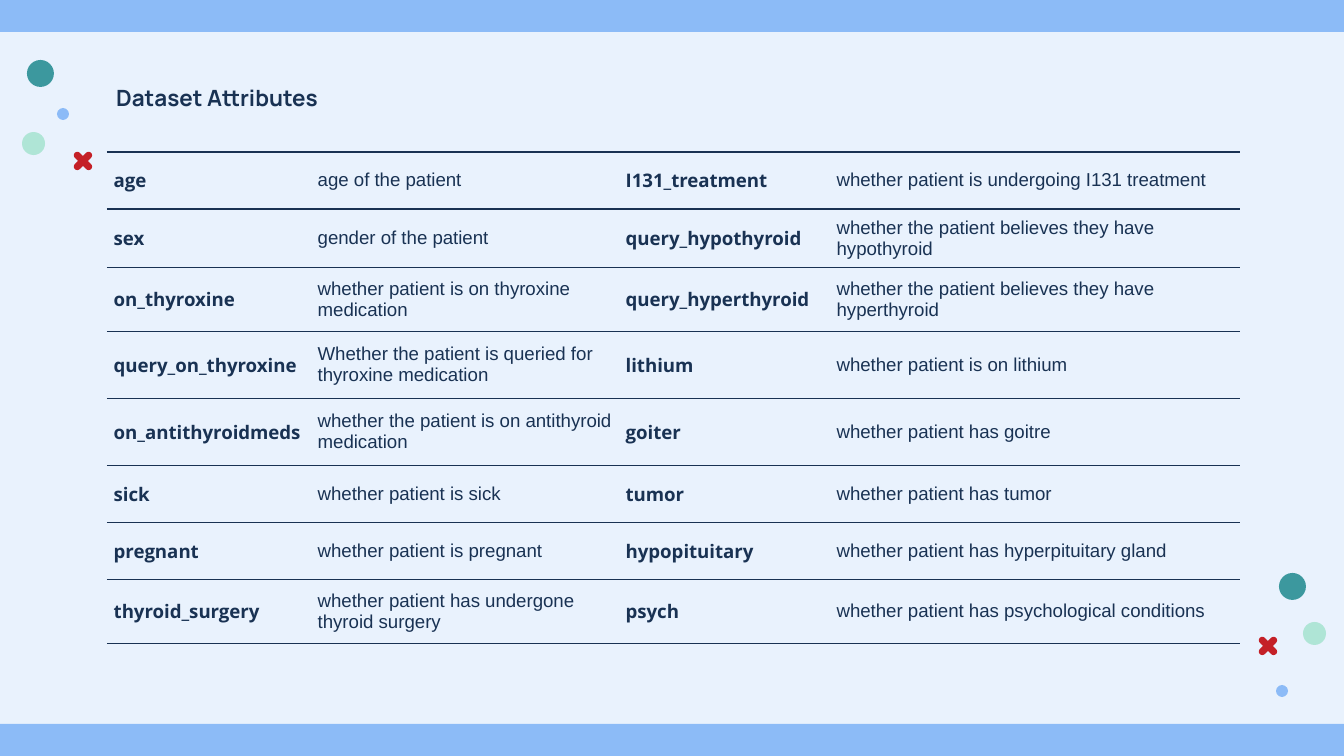
from math import cos, pi, sin, sqrt

from lxml.etree import SubElement
from pptx import Presentation
from pptx.dml.color import RGBColor
from pptx.enum.shapes import MSO_SHAPE
from pptx.enum.text import MSO_ANCHOR
from pptx.oxml.ns import qn
from pptx.util import Emu, Pt

SCALE = 914400 / 134.4  # EMU in one px
WIDTH, HEIGHT, BAR = 1344, 756, 32

PAPER, NAVY, BLUE = "E9F2FD", "193253", "8CBBF7"
TEAL, MINT, RED = "3C989E", "AFE5D6", "C42027"

NAME_FONT = {"name": "Open Sans", "size": Pt(10), "bold": True}
MEANING_FONT = {"name": "Arial", "size": Pt(10), "bold": False}
TITLE_FONT = {"name": "Manrope", "size": Pt(12), "bold": True}

COLUMNS = [204, 308, 211, 410]
ROWS = [57, 58, 64, 67, 67, 57, 57, 64]
ATTRIBUTES = [
    ("age", "age of the patient",
     "I131_treatment", "whether patient is undergoing I131 treatment"),
    ("sex", "gender of the patient",
     "query_hypothyroid", "whether the patient believes they have hypothyroid"),
    ("on_thyroxine", "whether patient is on thyroxine medication",
     "query_hyperthyroid", "whether the patient believes they have hyperthyroid"),
    ("query_on_thyroxine", "Whether the patient is queried for thyroxine medication",
     "lithium", "whether patient is on lithium"),
    ("on_antithyroidmeds", "whether the patient is on antithyroid medication",
     "goiter", "whether patient has goitre"),
    ("sick", "whether patient is sick",
     "tumor", "whether patient has tumor"),
    ("pregnant", "whether patient is pregnant",
     "hypopituitary", "whether patient has hyperpituitary gland"),
    ("thyroid_surgery", "whether patient has undergone thyroid surgery",
     "psych", "whether patient has psychological conditions"),
]

# Left, top, diameter and colour of each dot
DOTS = [
    (1303, 622, 23, MINT), (1276, 685, 12, BLUE), (1279, 573, 27, TEAL),
    (22, 132, 23, MINT), (57, 108, 12, BLUE), (27, 60, 27, TEAL),
]
CROSS_CENTRES = [(1268, 646), (83, 161)]


def px(n):
    return Emu(round(n * SCALE))


def rgb(value):
    return RGBColor.from_string(value)


def paint(sp, color):
    sp.shadow.inherit = False
    sp.fill.solid()
    sp.fill.fore_color.rgb = rgb(color)
    sp.line.fill.background()


def add_block(s, kind, x, y, w, h, color):
    sp = s.shapes.add_shape(kind, px(x), px(y), px(w), px(h))
    paint(sp, color)


def add_cross(s, cx, cy, reach=8, half=3.5):
    """Diagonal cross with round arm ends and straight inner corners."""
    points = []
    for arm in range(4):
        a = pi / 4 + arm * pi / 2
        for step in range(9):
            t = a - pi / 2 + step * pi / 8
            points.append((reach * cos(a) + half * cos(t),
                           reach * sin(a) + half * sin(t)))
        inner = a + pi / 4
        points.append((half * sqrt(2) * cos(inner), half * sqrt(2) * sin(inner)))
    points = [(px(cx + x), px(cy + y)) for x, y in points]
    builder = s.shapes.build_freeform(*points[0])
    builder.add_line_segments(points[1:], close=True)
    paint(builder.convert_to_shape(), RED)


def write(tf, text, font):
    tf.word_wrap = True
    r = tf.paragraphs[0].add_run()
    r.text = text
    for key, value in font.items():
        setattr(r.font, key, value)
    r.font.color.rgb = rgb(NAVY)


def add_title(s, text):
    sp = s.shapes.add_textbox(px(103), px(71), px(1133), px(85))
    tf = sp.text_frame
    for side in ("left", "top", "right", "bottom"):
        setattr(tf, f"margin_{side}", Pt(7.2))
    write(tf, text, TITLE_FONT)


def set_borders(cell):
    """Rule above and below the cell, nothing at its sides."""
    tc_pr = cell._tc.get_or_add_tcPr()
    for side in "LRTB":
        ln = SubElement(tc_pr, qn(f"a:ln{side}"), w=str(Pt(0.75)))
        if side in "LR":
            SubElement(ln, qn("a:noFill"))
        else:
            fill = SubElement(ln, qn("a:solidFill"))
            SubElement(fill, qn("a:srgbClr"), val=NAVY)


def add_attribute_table(s):
    frame = s.shapes.add_table(len(ROWS), len(COLUMNS), px(107), px(152),
                               px(sum(COLUMNS)), px(sum(ROWS)))
    table = frame.table
    table.first_row = table.horz_banding = False
    for column, width in zip(table.columns, COLUMNS):
        column.width = px(width)
    for row, height, texts in zip(table.rows, ROWS, ATTRIBUTES):
        row.height = px(height)
        for i, (cell, text) in enumerate(zip(row.cells, texts)):
            for side in ("left", "top", "right", "bottom"):
                setattr(cell, f"margin_{side}", Pt(3.6))
            cell.vertical_anchor = MSO_ANCHOR.MIDDLE
            write(cell.text_frame, text, MEANING_FONT if i % 2 else NAME_FONT)
            set_borders(cell)  # borders come before the fill in the XML
            cell.fill.background()


def main():
    prs = Presentation()
    prs.slide_width, prs.slide_height = px(WIDTH), px(HEIGHT)
    s = prs.slides.add_slide(prs.slide_layouts[6])
    s.background.fill.solid()
    s.background.fill.fore_color.rgb = rgb(PAPER)

    # Decoration
    for x, y, d, color in DOTS:
        add_block(s, MSO_SHAPE.OVAL, x, y, d, d, color)
    for cx, cy in CROSS_CENTRES:
        add_cross(s, cx, cy)
    for y in (0, HEIGHT - BAR):
        add_block(s, MSO_SHAPE.RECTANGLE, 0, y, WIDTH, BAR, BLUE)

    # Content
    add_title(s, "Dataset Attributes")
    add_attribute_table(s)
    prs.save("out.pptx")


if __name__ == "__main__":
    main()
